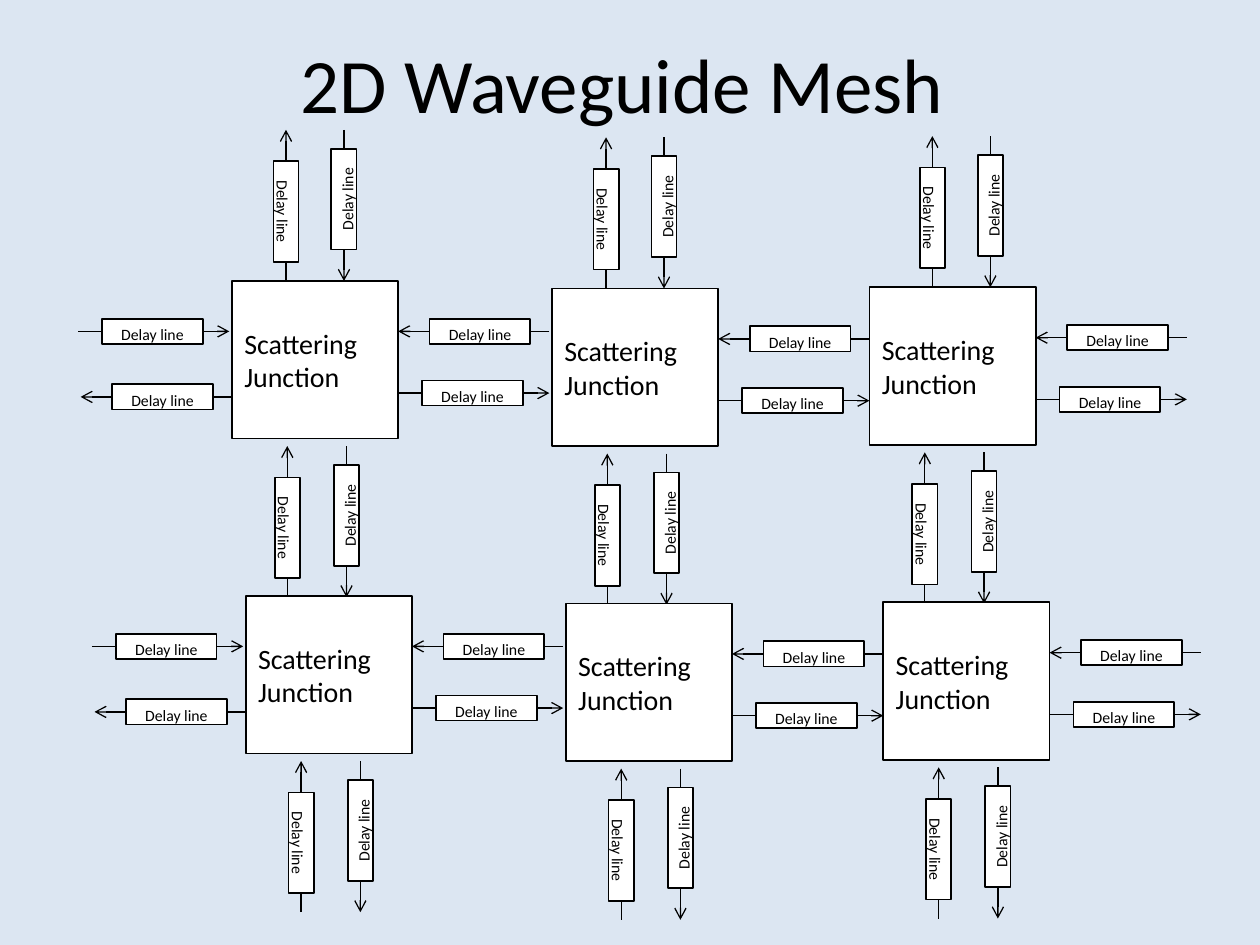
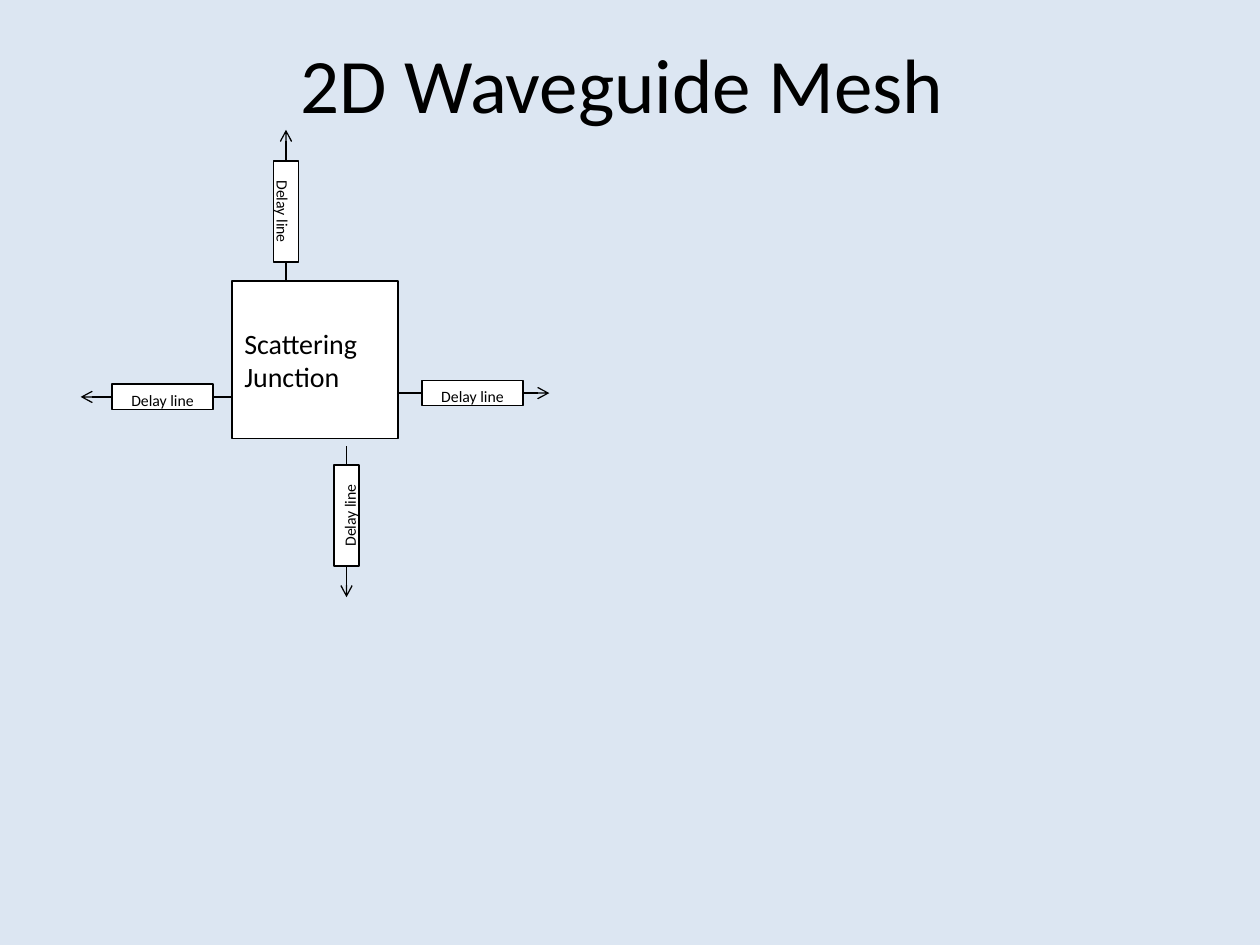
from dataclasses import dataclass

from lxml.etree import SubElement
from pptx import Presentation
from pptx.dml.color import RGBColor
from pptx.enum.shapes import MSO_CONNECTOR as Connector, MSO_SHAPE as Shape
from pptx.enum.text import MSO_ANCHOR as Anchor, PP_ALIGN as Align
from pptx.oxml.ns import qn
from pptx.util import Inches, Pt


@dataclass(frozen=True)
class Theme:
    background: RGBColor = RGBColor(0xDC, 0xE6, 0xF2)
    ink: RGBColor = RGBColor(0, 0, 0)
    paper: RGBColor = RGBColor(255, 255, 255)
    font: str = "Calibri"
    title_size: int = 44
    junction_size: int = 16
    delay_size: int = 9
    wire: float = 0.75
    outline: float = 1


THEME = Theme()
TITLE = "2D Waveguide Mesh"
ORIGIN = (1.84, 2.23)
ROW_SHIFTS = [(0, 0), (0.11, 2.5)]
COLUMN_SHIFTS = [(0, 0), (2.54, 0.06), (5.06, 0.05)]
LAST_TOP_SHIFT = 0.07
JUNCTION_SIZE = (1.32, 1.25)
WIRE_LENGTH = 1.2
DELAY_SIZE = (0.8, 0.2)

DIRECTIONS = {
    "up": (0, -1, 90, 0.15),
    "down": (0, 1, 270, 0.15),
    "left": (-1, 0, 0, 0.15),
    "right": (1, 0, 0, 0.19),
}

OUTGOING = {
    "above": ("up", 0.43, 0),
    "left": ("left", 0, 0.92),
    "below": ("down", 0.91, 1.31),
    "right": ("right", 1.32, 0.89),
}
INCOMING = {
    "above": ("down", 0.89, -1.2),
    "left": ("right", -1.22, 0.4),
    "below": ("up", 0.44, 2.51),
    "right": ("left", 2.52, 0.4),
}


def style_text(para, text, size, align):
    para.text = text
    para.alignment = align
    para.font.name = THEME.font
    para.font.size = Pt(size)
    para.font.color.rgb = THEME.ink


def add_box(shapes, left, top, size, text, text_size, align, inset):
    box = shapes.add_shape(Shape.RECTANGLE, Inches(left), Inches(top),
                           *map(Inches, size))
    box.shadow.inherit = False
    box.fill.solid()
    box.fill.fore_color.rgb = THEME.paper
    box.line.color.rgb = THEME.ink
    box.line.width = Pt(THEME.outline)
    frame = box.text_frame
    frame.word_wrap = True
    frame.vertical_anchor = Anchor.TOP
    frame.margin_top = Inches(inset)
    frame.margin_bottom = 0
    style_text(frame.paragraphs[0], text, text_size, align)
    return box


def add_arrow(shapes, start, end):
    arrow = shapes.add_connector(Connector.STRAIGHT, *map(Inches, start + end))
    arrow.line.color.rgb = THEME.ink
    arrow.line.width = Pt(THEME.wire)
    SubElement(arrow.line._get_or_add_ln(), qn("a:tailEnd"), type="arrow")
    SubElement(arrow._element.spPr, qn("a:effectLst"))


def add_delay_line(shapes, corner, wire):
    direction, right, down = wire
    step_x, step_y, rotation, lead = DIRECTIONS[direction]
    x, y = corner[0] + right, corner[1] + down
    add_arrow(shapes, (x, y),
              (x + step_x * WIRE_LENGTH, y + step_y * WIRE_LENGTH))
    width, height = DELAY_SIZE
    reach = lead + width / 2
    box = add_box(shapes, x + step_x * reach - width / 2,
                  y + step_y * reach - height / 2, DELAY_SIZE,
                  "Delay line", THEME.delay_size, Align.CENTER, 0.05)
    box.rotation = rotation


def add_junction(shapes, corner):
    add_box(shapes, *corner, JUNCTION_SIZE, "Scattering Junction",
            THEME.junction_size, Align.LEFT, 0.36)


def add_page(deck):
    page = deck.slides.add_slide(deck.slide_layouts[5])
    title = page.shapes.title
    title.left, title.top, title.width, title.height = map(
        Inches, (0.44, 0.03, 9, 1.25))
    title.text_frame.vertical_anchor = Anchor.MIDDLE
    style_text(title.text_frame.paragraphs[0], TITLE, THEME.title_size,
               Align.CENTER)
    return page


def add_mesh_page(deck):
    shapes = add_page(deck).shapes.add_group_shape().shapes
    corners = []
    for row, (row_x, row_y) in enumerate(ROW_SHIFTS):
        for column, (column_x, column_y) in enumerate(COLUMN_SHIFTS):
            corner = (ORIGIN[0] + row_x + column_x,
                      ORIGIN[1] + row_y + column_y)
            corners.append(corner)
            sides = ["below", "right"]
            if column == 0:
                sides.append("left")
            for side in sides:
                add_delay_line(shapes, corner, OUTGOING[side])
                add_delay_line(shapes, corner, INCOMING[side])
            if row == 0:
                last = column == len(COLUMN_SHIFTS) - 1
                top = (corner[0] + LAST_TOP_SHIFT * last, corner[1])
                add_delay_line(shapes, top, OUTGOING["above"])
                add_delay_line(shapes, top, INCOMING["above"])
    for corner in corners:
        add_junction(shapes, corner)


def add_single_junction_page(deck):
    page = add_page(deck)
    for wire in OUTGOING.values():
        add_delay_line(page.shapes.add_group_shape().shapes, ORIGIN, wire)
    add_junction(page.shapes, ORIGIN)


def main():
    deck = Presentation()
    deck.slide_width, deck.slide_height = Inches(10), Inches(7.5)
    background = deck.slide_master.background.fill
    background.solid()
    background.fore_color.rgb = THEME.background
    add_mesh_page(deck)
    add_single_junction_page(deck)
    deck.save("out.pptx")


main()
